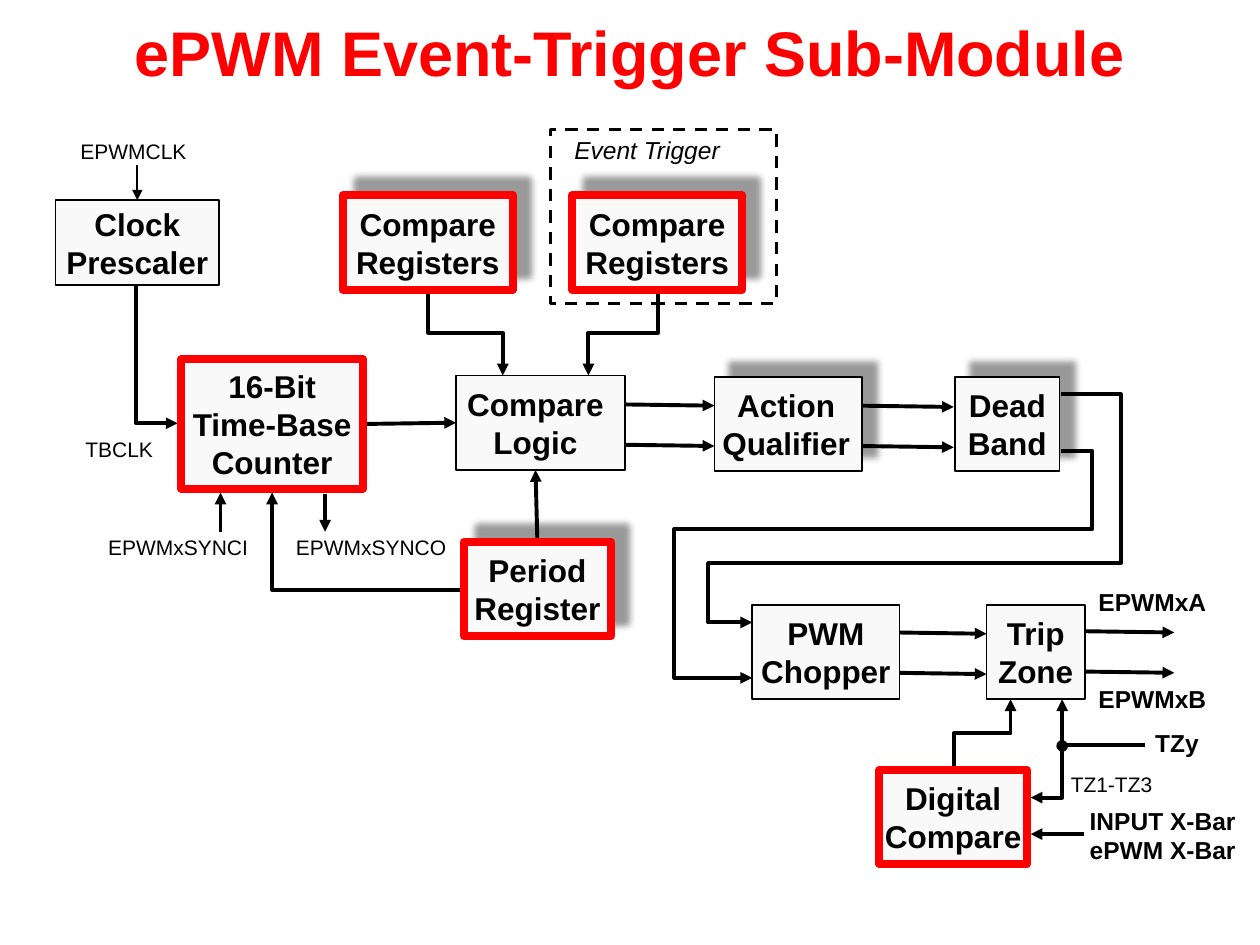
from dataclasses import dataclass

from lxml.etree import SubElement
from pptx import Presentation
from pptx.dml.color import RGBColor
from pptx.enum.dml import MSO_LINE
from pptx.enum.shapes import MSO_CONNECTOR, MSO_SHAPE
from pptx.enum.text import MSO_ANCHOR, PP_ALIGN
from pptx.oxml.ns import qn
from pptx.util import Emu, Pt

SCALE = 9144  # EMU per px, 100 px to the inch
RED = RGBColor(0xFF, 0x00, 0x00)
BLACK = RGBColor(0x00, 0x00, 0x00)
PALE = RGBColor(0xF9, 0xF9, 0xF9)


@dataclass
class Block:
    text: str
    left: int
    top: int
    width: int
    height: int = 75
    active: bool = False
    shadow: bool = False
    right_inset: int = 0


@dataclass
class Label:
    text: str
    left: int
    top: int
    width: int
    height: int = 26
    size: int = 12
    bold: bool = False
    italic: bool = False
    spacing: float = 0.8


def px(value: int) -> Emu:
    return Emu(value * SCALE)


def write(frame, text: str, *, size: int, color=BLACK, bold=False, italic=False,
          align=PP_ALIGN.CENTER, spacing=None, gap=0, wrap=False) -> None:
    frame.word_wrap = wrap
    frame.vertical_anchor = MSO_ANCHOR.MIDDLE
    for index, line in enumerate(text.split("\n")):
        paragraph = frame.add_paragraph() if index else frame.paragraphs[0]
        paragraph.alignment = align
        paragraph.line_spacing = spacing
        paragraph.space_before = Pt(gap if index else 0)
        run = paragraph.add_run()
        run.text = line
        run.font.name = "Arial"
        run.font.size = Pt(size)
        run.font.bold = bold
        run.font.italic = italic
        run.font.color.rgb = color


def draw_block(slide, block: Block):
    box = slide.shapes.add_shape(MSO_SHAPE.RECTANGLE, px(block.left), px(block.top),
                                 px(block.width), px(block.height))
    box.fill.solid()
    box.fill.fore_color.rgb = PALE
    box.line.color.rgb = RED if block.active else BLACK
    box.line.width = Pt(4.5 if block.active else 1)
    box.shadow.inherit = False
    if block.shadow:
        effects = box._element.spPr.find(qn("a:effectLst"))
        outer = SubElement(effects, qn("a:outerShdw"), blurRad=str(Pt(4)), dist=str(Pt(12)),
                           dir=str(315 * 60000), algn="ctr", rotWithShape="0")
        tone = SubElement(outer, qn("a:srgbClr"), val=str(BLACK))
        SubElement(tone, qn("a:alpha"), val="40000")
    frame = box.text_frame
    frame.margin_left = frame.margin_top = frame.margin_bottom = 0
    frame.margin_right = px(block.right_inset)
    write(frame, block.text, size=18, bold=True)
    return box


def draw_label(slide, label: Label) -> None:
    box = slide.shapes.add_textbox(px(label.left), px(label.top),
                                   px(label.width), px(label.height))
    write(box.text_frame, label.text, size=label.size, bold=label.bold, italic=label.italic,
          align=PP_ALIGN.LEFT, spacing=label.spacing, gap=3)


def finish_route(slide, route, head: str, tail: str, width: float) -> None:
    """Style a route, add its arrowheads and put it behind the blocks."""
    route.line.color.rgb = BLACK
    route.line.width = Pt(width)
    properties = route._element.spPr
    outline = properties.find(qn("a:ln"))
    SubElement(outline, qn("a:headEnd"), type=head)
    SubElement(outline, qn("a:tailEnd"), type=tail)
    if properties.find(qn("a:effectLst")) is None:
        SubElement(properties, qn("a:effectLst"))
    slide.shapes._spTree.insert(2, route._element)


def draw_arrow(slide, start: tuple, end: tuple, *, source=None, target=None, width=2.25) -> None:
    """Straight arrow; source and target are (box, side) joints."""
    arrow = slide.shapes.add_connector(MSO_CONNECTOR.STRAIGHT, *map(px, start + end))
    if source:
        arrow.begin_connect(*source)
    if target:
        arrow.end_connect(*target)
    finish_route(slide, arrow, "none", "triangle", width)


def draw_bent(slide, start: tuple, end: tuple, preset: str, *, adjust=(),
              head="none", tail="triangle") -> None:
    bent = slide.shapes.add_connector(MSO_CONNECTOR.ELBOW, *map(px, start + end))
    geometry = bent._element.spPr.find(qn("a:prstGeom"))
    geometry.set("prst", preset)
    guides = geometry.find(qn("a:avLst"))
    for number, value in enumerate(adjust, 1):
        SubElement(guides, qn("a:gd"), name=f"adj{number}", fmla=f"val {value}")
    finish_route(slide, bent, head, tail, 2.25)


def draw_path(slide, *points: tuple, head="none", tail="triangle") -> None:
    builder = slide.shapes.build_freeform(*points[0], scale=SCALE)
    builder.add_line_segments(points[1:], close=False)
    path = builder.convert_to_shape()
    path.fill.background()
    path.shadow.inherit = False
    finish_route(slide, path, head, tail, 2.25)


LABELS = [
    Label("EPWMCLK", 54, 109, 105),
    Label("TBCLK", 58, 345, 74),
    Label("EPWMxSYNCI", 76, 423, 131),
    Label("EPWMxSYNCO", 225, 423, 140),
    Label("TZ1-TZ3", 840, 611, 86),
    Label("Event Trigger", 446, 102, 137, 34, 14, italic=True, spacing=1.0),
    Label("EPWMxA", 862, 465, 106, 29, 14, bold=True),
    Label("EPWMxB", 862, 542, 106, 29, 14, bold=True),
    Label("TZy", 907, 577, 55, 29, 14, bold=True),
    Label("INPUT X-Bar\nePWM X-Bar", 855, 639, 137, 52, 14, bold=True),
]


def main() -> None:
    deck = Presentation()
    deck.slide_width, deck.slide_height = px(1000), px(750)
    slide = deck.slides.add_slide(deck.slide_layouts[5])

    title = slide.shapes.title
    title.left, title.top, title.width, title.height = px(0), px(0), px(1000), px(81)
    write(title.text_frame, "ePWM Event-Trigger Sub-Module", size=36, color=RED,
          bold=True, wrap=True)

    # Event trigger area
    area = slide.shapes.add_shape(MSO_SHAPE.RECTANGLE, px(437), px(103), px(179), px(138))
    area.fill.background()
    area.line.color.rgb = BLACK
    area.line.width = Pt(1.75)
    area.line.dash_style = MSO_LINE.DASH
    area.shadow.inherit = False

    # Blocks
    counter = draw_block(slide, Block("16-Bit\nTime-Base\nCounter", 144, 285, 144, 103, active=True))
    logic = draw_block(slide, Block("Compare\nLogic", 362, 298, 134, right_inset=8))
    period = draw_block(slide, Block("Period\nRegister", 368, 430, 117, active=True, shadow=True))
    prescaler = draw_block(slide, Block("Clock\nPrescaler", 44, 159, 130, 67))
    for block in (
        Block("Action\nQualifier", 567, 299, 117, shadow=True, right_inset=3),
        Block("Dead\nBand", 758, 299, 83, shadow=True),
        Block("PWM\nChopper", 597, 480, 117),
        Block("Trip\nZone", 783, 480, 78),
        Block("Digital\nCompare", 698, 611, 117, active=True),
        Block("Compare\nRegisters", 272, 155, 135, active=True, shadow=True),
        Block("Compare\nRegisters", 454, 155, 135, active=True, shadow=True),
    ):
        draw_block(slide, block)

    # Straight arrows
    draw_arrow(slide, (109, 131), (109, 159), target=(prescaler, 0), width=1)
    draw_arrow(slide, (288, 336), (362, 335), source=(counter, 3), target=(logic, 1))
    draw_arrow(slide, (426, 430), (425, 373), source=(period, 0))
    draw_arrow(slide, (175, 422), (175, 391))
    draw_arrow(slide, (258, 392), (258, 422))
    draw_arrow(slide, (860, 662), (818, 662))

    # Paired signals between neighbouring blocks
    for start, end, top in ((496, 567, 321), (683, 757, 322), (712, 783, 502), (861, 932, 501)):
        for y in (top, top + 32):
            draw_arrow(slide, (start, y), (end, y + 1))

    # Bent connectors
    draw_bent(slide, (373, 468), (216, 391), "bentConnector2")
    draw_bent(slide, (141, 336), (108, 226), "bentConnector2", head="triangle", tail="none")
    draw_bent(slide, (842, 358), (597, 538), "bentConnector5", adjust=(-10200, 34400, 125200))
    draw_bent(slide, (842, 313), (597, 494), "bentConnector5", adjust=(-19400, 74000, 114300))

    # Stepped paths
    draw_path(slide, (340, 229), (340, 264), (399, 264), (399, 298))
    draw_path(slide, (522, 229), (522, 264), (467, 264), (467, 298))
    draw_path(slide, (757, 610), (757, 582), (802, 582), (802, 555))
    draw_path(slide, (843, 592), (843, 633), (818, 633), head="oval")
    draw_path(slide, (843, 555), (843, 591), (909, 591), head="triangle", tail="none")

    for label in LABELS:
        draw_label(slide, label)

    deck.save("out.pptx")


if __name__ == "__main__":
    main()
